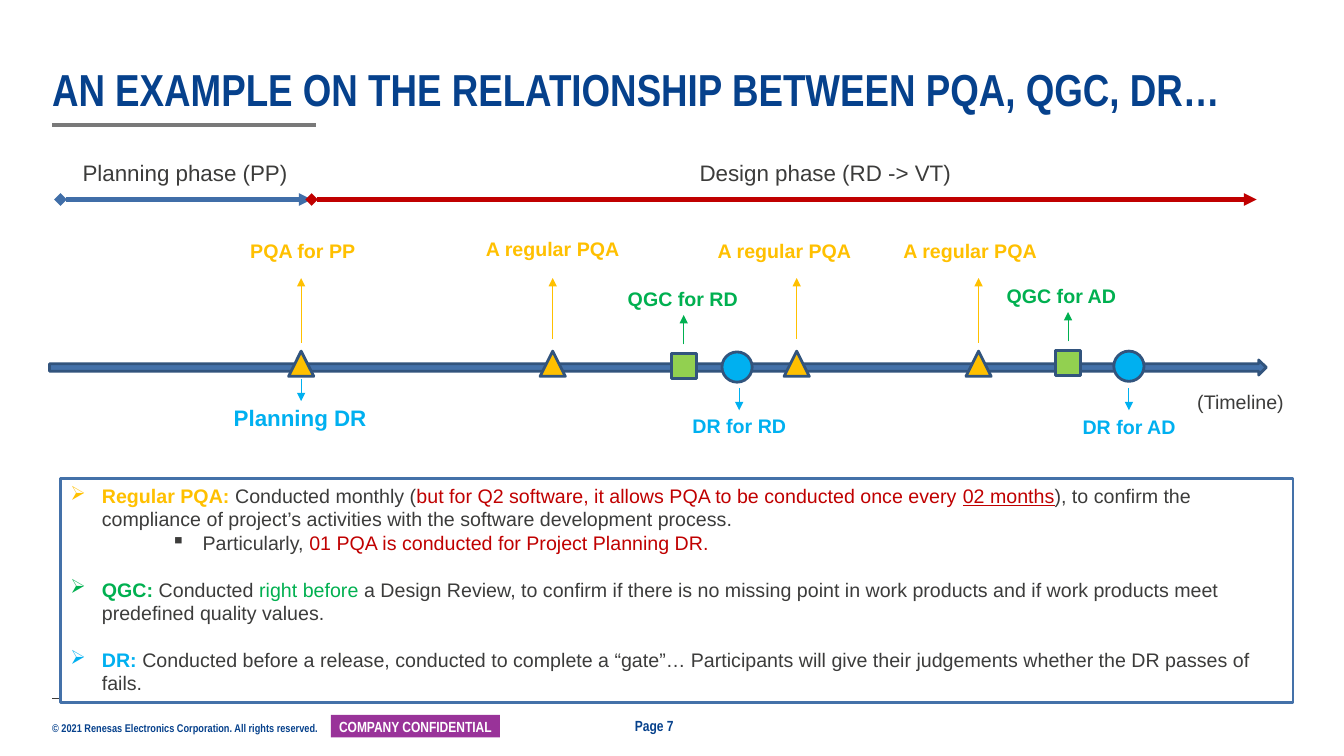
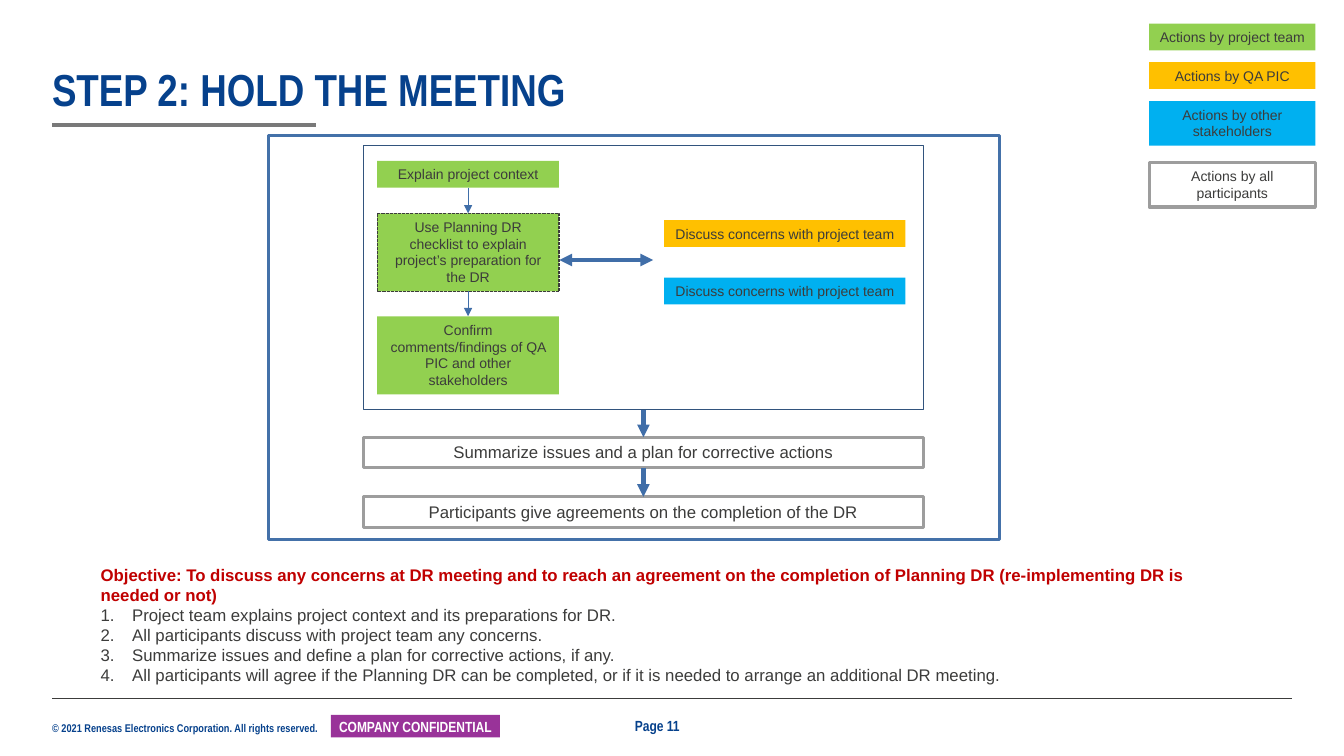
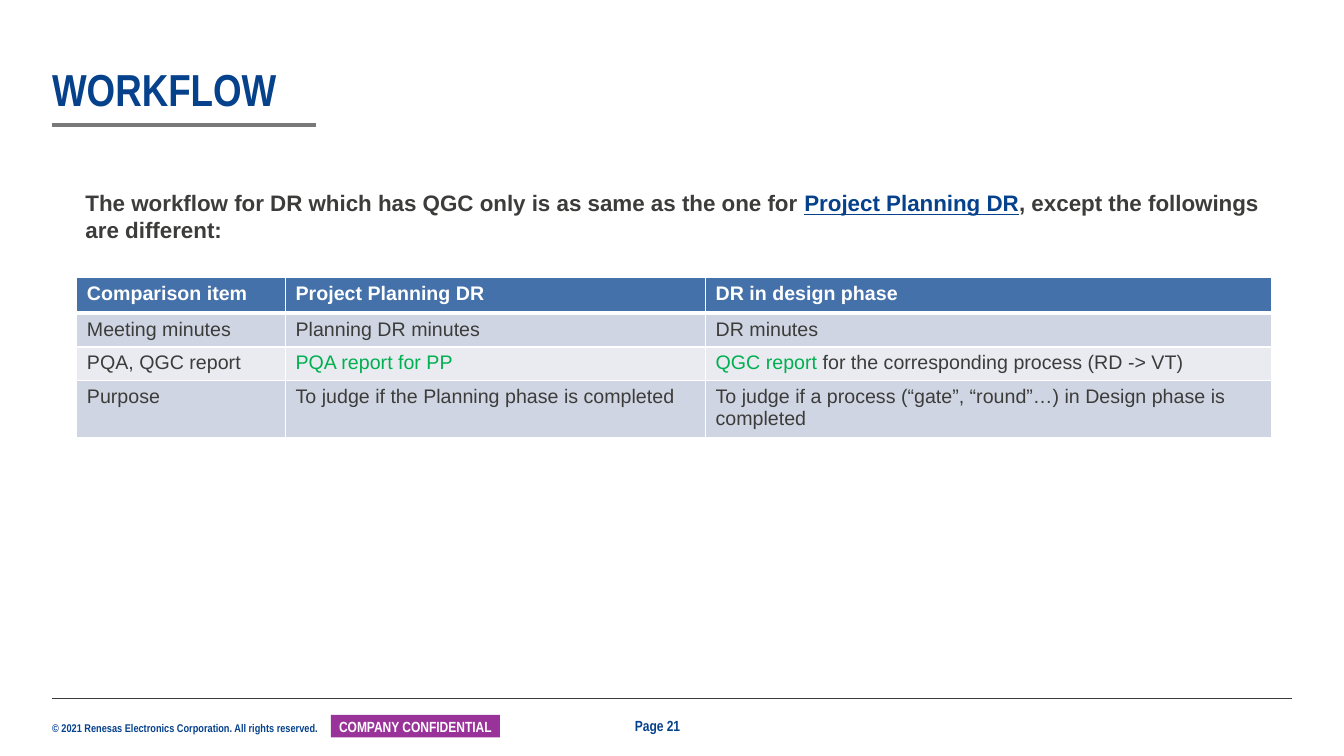
from dataclasses import dataclass

from lxml.etree import SubElement
from pptx import Presentation
from pptx.dml.color import RGBColor
from pptx.enum.dml import MSO_LINE
from pptx.enum.shapes import MSO_CONNECTOR, MSO_SHAPE
from pptx.enum.text import MSO_ANCHOR, PP_ALIGN
from pptx.oxml.ns import qn
from pptx.util import Emu, Pt

# Grid: 160 columns by 90 rows of square cells, twelve to the inch
COLUMNS, ROWS, CELL = 160, 90, 76200

# Colours
WHITE = RGBColor(0xFF, 0xFF, 0xFF)
INK = RGBColor(0x3C, 0x3C, 0x3B)
NAVY = RGBColor(0x06, 0x41, 0x8C)
PURPLE = RGBColor(0x99, 0x33, 0x99)
GREY = RGBColor(0x79, 0x79, 0x79)
SILVER = RGBColor(0x9D, 0x9D, 0x9D)
BLUE = RGBColor(0x44, 0x71, 0xA9)
ARROW_BLUE = RGBColor(0x40, 0x6E, 0xA8)
DARK_BLUE = RGBColor(0x32, 0x54, 0x7D)
SKY = RGBColor(0x00, 0xB0, 0xF0)
AMBER = RGBColor(0xFF, 0xC0, 0x00)
LIME = RGBColor(0x92, 0xD0, 0x50)
GREEN = RGBColor(0x00, 0xB0, 0x50)
RED = RGBColor(0xC0, 0x00, 0x00)
BAND_DARK = RGBColor(0xCF, 0xD5, 0xE2)
BAND_LIGHT = RGBColor(0xE9, 0xEB, 0xF1)

BODY_FONT, HEAD_FONT = "Arial", "Arial Narrow"
MARGIN, RIGHT_EDGE = 6.2, 153.8
HANGING = 3.75


@dataclass
class Run:
    text: str
    color: RGBColor = None
    bold: bool = None
    underline: bool = None


@dataclass
class Para:
    runs: list
    bullet: str = ""
    indent: float = HANGING
    before: float = 0


def cells(*lengths):
    return [Emu(round(length * CELL)) for length in lengths]


def write(frame, *paragraphs, size=14, color=INK, bold=False, font=BODY_FONT,
          align=PP_ALIGN.LEFT, anchor=MSO_ANCHOR.TOP, wrap=True, inset=None,
          spacing=None):
    """Fill a text frame with strings or Para objects in one format."""
    frame.word_wrap = wrap
    frame.vertical_anchor = anchor
    if inset is not None:
        frame.margin_left = frame.margin_right = cells(inset)[0]
        frame.margin_top = frame.margin_bottom = 0
    for index, content in enumerate(paragraphs):
        para = content if isinstance(content, Para) else Para([Run(content)])
        line = frame.add_paragraph() if index else frame.paragraphs[0]
        line.alignment = align
        if spacing:
            line.line_spacing = spacing
        if para.before:
            line.space_before = Pt(para.before)
        if para.bullet:
            add_bullet(line, para)
        for part in para.runs:
            run = line.add_run()
            run.text = part.text
            run.font.name, run.font.size = font, Pt(size)
            run.font.bold = bold if part.bold is None else part.bold
            run.font.underline = part.underline
            run.font.color.rgb = part.color or color


def add_bullet(line, para):
    properties = line._p.get_or_add_pPr()
    left, hanging = cells(para.indent, HANGING)
    properties.set("marL", str(left))
    properties.set("indent", str(-hanging))
    if para.bullet == "1.":
        SubElement(properties, qn("a:buAutoNum"), type="arabicPeriod")
    else:
        SubElement(properties, qn("a:buChar"), char=para.bullet)


class Deck:
    """Holds the shared style and the slide being built."""

    def __init__(self):
        self.presentation = Presentation()
        self.presentation.slide_width, self.presentation.slide_height = cells(
            COLUMNS, ROWS)
        self.slide = None

    def new_slide(self, title, page):
        self.slide = self.presentation.slides.add_slide(
            self.presentation.slide_layouts[6])
        # Footer
        label = dict(font=HEAD_FONT, color=NAVY, bold=True)
        self.text(MARGIN, 85.9, 32.8, 1.6,
                  "© 2021 Renesas Electronics Corporation. All rights reserved.",
                  size=8, wrap=False, inset=0, **label)
        self.line((MARGIN, 83.1), (RIGHT_EDGE, 83.1), INK, 0.5)
        self.shape(39.4, 85.1, 20.1, 2.7, "COMPANY CONFIDENTIAL", fill=PURPLE,
                   size=10.5, font=HEAD_FONT, color=WHITE, bold=True,
                   anchor=MSO_ANCHOR.MIDDLE, inset=0.48)
        self.text(74.4, 84.8, 8, 3.4, f"Page {page}", size=10.5, wrap=False, **label)
        # Title and its underline
        self.line((MARGIN, 14.85), (37.65, 14.85), GREY, 3)
        self.text(MARGIN, 7.8, 147.6, 6, title, size=32, inset=0, spacing=0.9,
                  anchor=MSO_ANCHOR.BOTTOM, **label)

    def text(self, left, top, width, height, *paragraphs, **style):
        box = self.slide.shapes.add_textbox(*cells(left, top, width, height))
        write(box.text_frame, *paragraphs, **style)

    def shape(self, left, top, width, height, *paragraphs, fill=None, line=None,
              weight=2, dash=None, kind=MSO_SHAPE.RECTANGLE,
              align=PP_ALIGN.CENTER, **style):
        shape = self.slide.shapes.add_shape(kind, *cells(left, top, width, height))
        shape.shadow.inherit = False
        if fill is None:
            shape.fill.background()
        else:
            shape.fill.solid()
            shape.fill.fore_color.rgb = fill
        if line is None:
            shape.line.fill.background()
        else:
            shape.line.color.rgb, shape.line.width = line, Pt(weight)
            if dash:
                shape.line.dash_style = dash
        write(shape.text_frame, *paragraphs, align=align, **style)
        return shape

    def line(self, start, end, color, weight=0.75, head=None, tail=None):
        connector = self.slide.shapes.add_connector(
            MSO_CONNECTOR.STRAIGHT, *cells(*start, *end))
        connector.line.color.rgb, connector.line.width = color, Pt(weight)
        outline = connector.line._get_or_add_ln()
        for tag, tip in (("a:headEnd", head), ("a:tailEnd", tail)):
            if tip:
                SubElement(outline, qn(tag), type=tip)
        SubElement(connector._element.spPr, qn("a:effectLst"))
        return connector

    def arrow(self, start, end, color, weight=0.75, head=None):
        return self.line(start, end, color, weight, head, "triangle")

    def link_down(self, upper, lower, weight=0.75):
        link = self.arrow((0, 0), (1, 1), ARROW_BLUE, weight)
        link.begin_connect(upper, 2)
        link.end_connect(lower, 0)

    def table(self, left, top, widths, heights, rows):
        table = self.slide.shapes.add_table(
            len(rows), len(widths),
            *cells(left, top, sum(widths), sum(heights))).table
        table.horz_banding = False
        for column, width in zip(table.columns, cells(*widths)):
            column.width = width
        for index, (row, height) in enumerate(zip(table.rows, cells(*heights))):
            row.height = height
            header = index == 0
            fill = BLUE if header else BAND_DARK if index % 2 else BAND_LIGHT
            for cell, content in zip(row.cells, rows[index]):
                cell.fill.solid()
                cell.fill.fore_color.rgb = fill
                write(cell.text_frame, content, bold=header,
                      color=WHITE if header else INK)
                self.borders(cell, top=3 if index == 1 else 1,
                             bottom=3 if header else 1)

    @staticmethod
    def borders(cell, top, bottom):
        properties = cell._tc.get_or_add_tcPr()
        sides = (("a:lnL", 1), ("a:lnR", 1), ("a:lnT", top), ("a:lnB", bottom))
        for position, (tag, weight) in enumerate(sides):
            edge = SubElement(properties, qn(tag), w=str(Pt(weight)))
            SubElement(SubElement(edge, qn("a:solidFill")), qn("a:srgbClr"),
                       val=str(WHITE))
            properties.insert(position, edge)


def build_relationship(deck):
    deck.new_slide("AN EXAMPLE ON THE RELATIONSHIP BETWEEN PQA, QGC, DR…", 7)

    # Phases
    deck.text(8.65, 18.35, 27.1, 4.4, "Planning phase (PP)", size=16, wrap=False)
    deck.text(82.1, 18.35, 32.75, 4.4, "Design phase (RD -> VT)", size=16, wrap=False)
    deck.arrow((7.2, 23.75), (37.1, 23.75), ARROW_BLUE, 3, "diamond")
    deck.arrow((37.1, 23.75), (149.6, 23.75), RED, 3, "diamond")

    # Timeline
    deck.shape(5.9, 42.85, 144.85, 1.8, kind=MSO_SHAPE.RIGHT_ARROW,
               fill=BLUE, line=DARK_BLUE)
    deck.text(141.35, 45.85, 14, 4.1, "(Timeline)")

    # PQA marks: centre, label centre, label top, arrow start
    for center, label, top, start, name in (
            (35.85, 36.05, 27.8, 40.8, "PQA for PP"),
            (65.8, 65.8, 27.6, 40.3, "A regular PQA"),
            (94.85, 93.4, 27.8, 40.3, "A regular PQA"),
            (116.5, 115.5, 27.8, 40.8, "A regular PQA")):
        deck.shape(center - 1.5, 41.8, 3, 3, fill=AMBER, line=DARK_BLUE,
                   kind=MSO_SHAPE.ISOSCELES_TRIANGLE)
        deck.arrow((center, start), (center, 33.1), AMBER)
        deck.text(label - 9.3, top, 18.6, 4.1, name, color=AMBER, bold=True,
                  align=PP_ALIGN.CENTER)

    # QGC marks: centre, top, label left
    for center, top, label, name in ((81.4, 42.1, 73.55, "QGC for RD"),
                                     (127.15, 41.75, 118.65, "QGC for AD")):
        deck.shape(center - 1.5, top, 3, 3, fill=LIME, line=DARK_BLUE)
        deck.arrow((center, top - 1.1), (center, top - 4.6), GREEN)
        deck.text(label, top - 8.5, 16.9, 4.1, name, color=GREEN, bold=True)

    # DR marks
    for center, top in ((87.75, 41.9), (134.4, 41.8)):
        deck.shape(center - 1.8, top, 3.6, 3.6, fill=SKY, line=DARK_BLUE,
                   kind=MSO_SHAPE.OVAL)
    # DR labels: arrow place, label left and top, size
    for x, start, left, top, size, name in (
            (35.85, 45.1, 26.65, 47.5, 16, "Planning DR"),
            (88, 46.2, 81.25, 48.7, 14, "DR for RD"),
            (134.4, 46.2, 127.7, 48.85, 14, "DR for AD")):
        deck.arrow((x, start), (x, start + 2.65), SKY)
        deck.text(left, top, 18.35, 4.1, name, size=size, color=SKY, bold=True)

    # Definitions
    deck.shape(
        7.2, 57, 146.75, 26.65,
        Para([Run("Regular PQA: ", AMBER, True), Run("Conducted monthly ("),
              Run("but for Q2 software, it allows PQA to be conducted once every ", RED),
              Run("02 months", RED, underline=True),
              Run("), to confirm the compliance of project’s activities with "
                  "the software development process.")], "➢"),
        Para([Run("Particularly, "),
              Run("01 PQA is conducted for Project Planning DR.", RED)], "▪", 15.75),
        Para([Run("QGC: ", GREEN, True), Run("Conducted "), Run("right before ", GREEN),
              Run("a Design Review, to confirm if there is no missing point in work "
                  "products and if work products meet predefined quality values.")],
             "➢", before=16.5),
        Para([Run("DR: ", SKY, True),
              Run("Conducted before a release, conducted to complete a “gate”… "
                  "Participants will give their judgements whether the DR passes "
                  "of fails.")], "➢", before=16.5),
        fill=WHITE, line=BLUE, align=PP_ALIGN.LEFT)


def build_meeting(deck):
    deck.new_slide("STEP 2: HOLD THE MEETING", 11)

    # Legend
    for top, height, name, look in (
            (2.8, 3.2, "Actions by project team", dict(fill=LIME, wrap=False)),
            (7.4, 3.2, "Actions by QA PIC", dict(fill=AMBER)),
            (12.05, 5.3, "Actions by other stakeholders", dict(fill=SKY)),
            (19.35, 5.3, "Actions by all participants",
             dict(line=SILVER, weight=2.25))):
        deck.shape(136.8, top, 19.8, height, name, size=10, **look)

    # Frames
    deck.shape(32, 16.1, 87, 48.1, line=BLUE)
    panel = deck.shape(43.3, 17.3, 66.6, 31.5, line=DARK_BLUE, weight=0.75)

    # Steps of the project team
    steps = [deck.shape(44.9, top, 21.65, height, name, fill=LIME, size=10, **look)
             for top, height, name, look in (
                 (19.15, 3.2, "Explain project context", {}),
                 (25.4, 9.3, "Use Planning DR checklist to explain project’s "
                  "preparation for the DR",
                  dict(line=INK, weight=0.75, dash=MSO_LINE.SQUARE_DOT)),
                 (37.65, 9.3, "Confirm comments/findings of QA PIC and other "
                  "stakeholders", {}))]
    for upper, lower in zip(steps, steps[1:]):
        deck.link_down(upper, lower)

    # Discussion
    for top, fill in ((26.2, AMBER), (33.05, SKY)):
        deck.shape(79.05, top, 28.75, 3.2, "Discuss concerns with project team",
                   fill=fill, size=10)
    deck.arrow((66.6, 30.95), (77.75, 30.95), ARROW_BLUE, 3, "triangle")

    # Closing steps
    closing = [panel] + [
        deck.shape(43.3, top, 66.6, 3.65, name, line=SILVER, weight=2.25, size=12)
        for top, name in (
            (52.05, "Summarize issues and a plan for corrective actions"),
            (59.15, "Participants give agreements on the completion of the DR"))]
    for upper, lower in zip(closing, closing[1:]):
        deck.link_down(upper, lower, 3)

    # Objective
    points = ("Project team explains project context and its preparations for DR.",
              "All participants discuss with project team any concerns.",
              "Summarize issues and define a plan for corrective actions, if any.",
              "All participants will agree if the Planning DR can be completed, or "
              "if it is needed to arrange an additional DR meeting.")
    deck.text(10.8, 66.6, 135.85, 15.7,
              Para([Run("Objective: To discuss any concerns at DR meeting and to reach "
                        "an agreement on the completion of Planning DR "
                        "(re-implementing DR is needed or not)", RED, True)]),
              *[Para([Run(point)], "1.") for point in points], size=12)


def build_workflow(deck):
    deck.new_slide("WORKFLOW", 21)
    deck.text(9, 21.95, 142.3, 7.7,
              Para([Run("The workflow for DR which has QGC only is as same as "
                        "the one for "),
                    Run("Project Planning DR", NAVY, underline=True),
                    Run(", except the followings are different:")]),
              size=16, bold=True)

    # Comparison
    deck.table(9.15, 33, (24.85, 50, 67.35), (4.3, 4, 4, 6.8), (
        ("Comparison item", "Project Planning DR", "DR in design phase"),
        ("Meeting minutes", "Planning DR minutes", "DR minutes"),
        ("PQA, QGC report", Para([Run("PQA report for PP", GREEN)]),
         Para([Run("QGC report", GREEN),
               Run(" for the corresponding process (RD -> VT)")])),
        ("Purpose", "To judge if the Planning phase is completed",
         "To judge if a process (“gate”, “round”…) in Design phase is completed")))


def main():
    deck = Deck()
    build_relationship(deck)
    build_meeting(deck)
    build_workflow(deck)
    deck.presentation.save("out.pptx")


if __name__ == "__main__":
    main()
